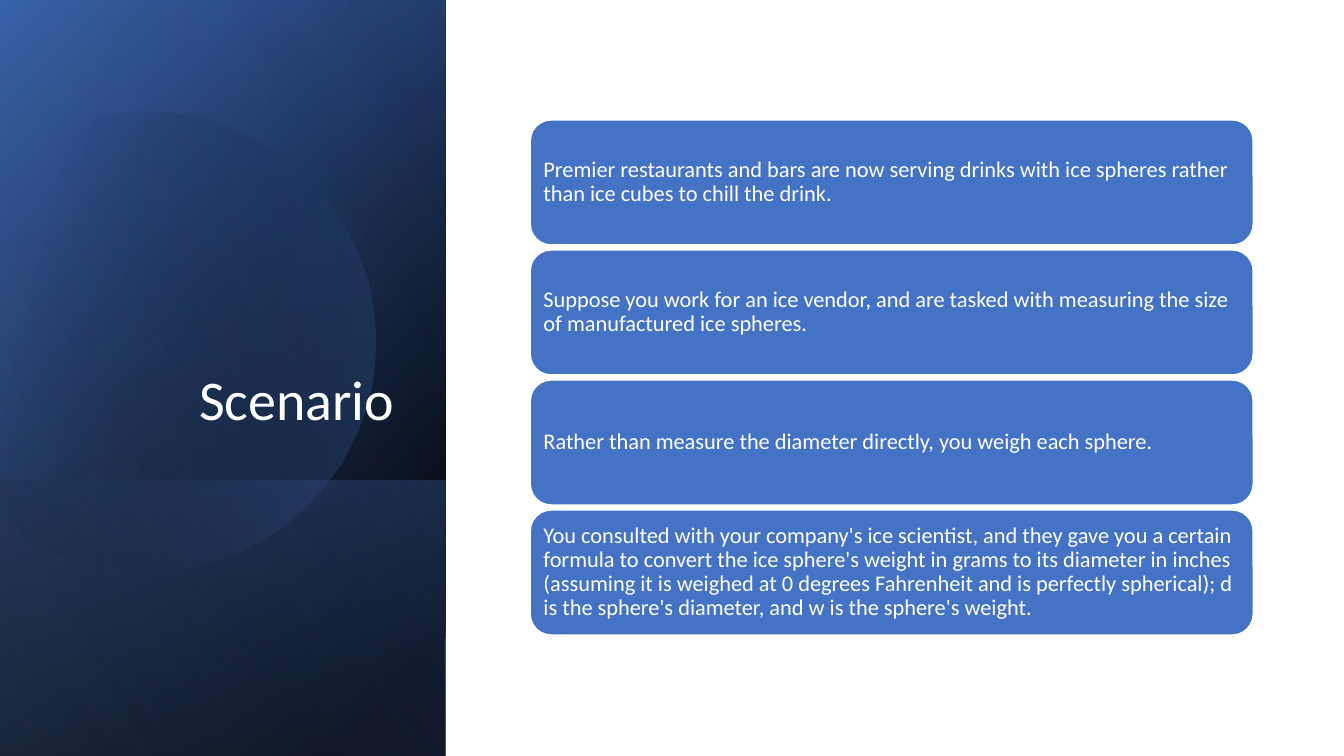
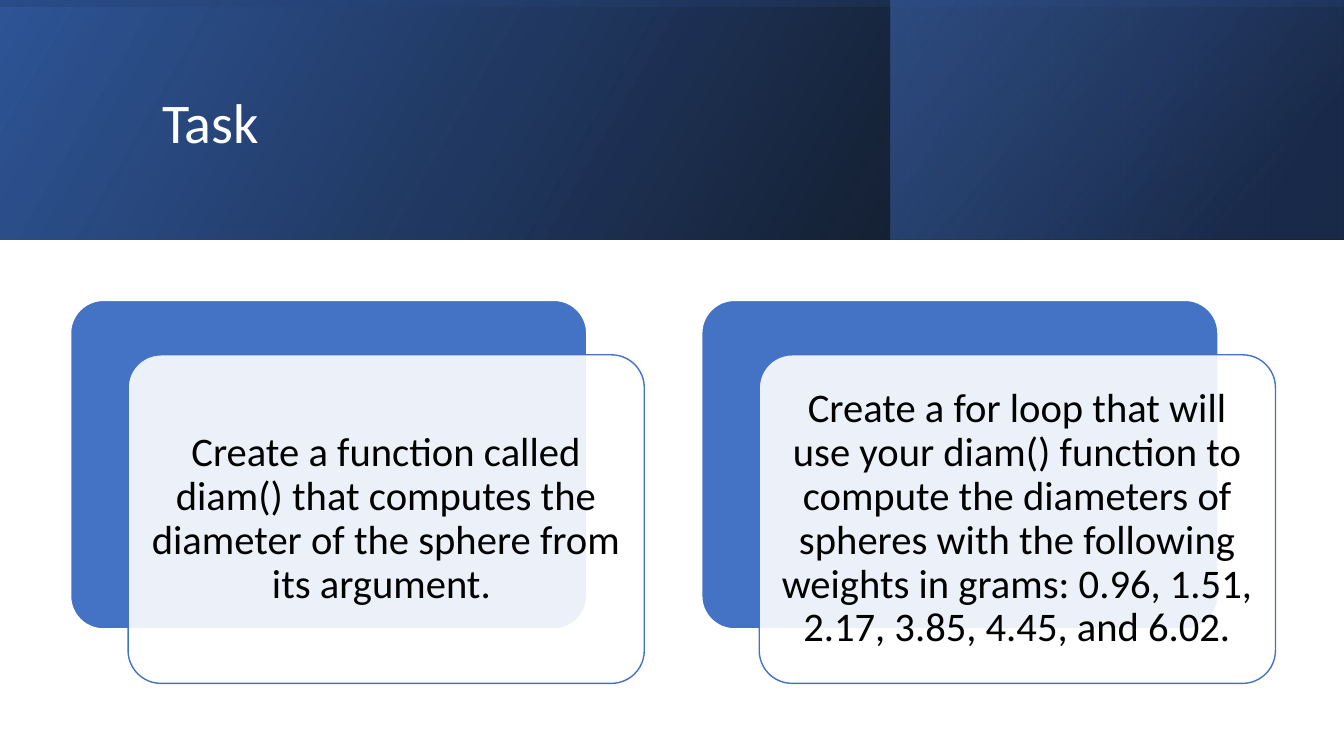
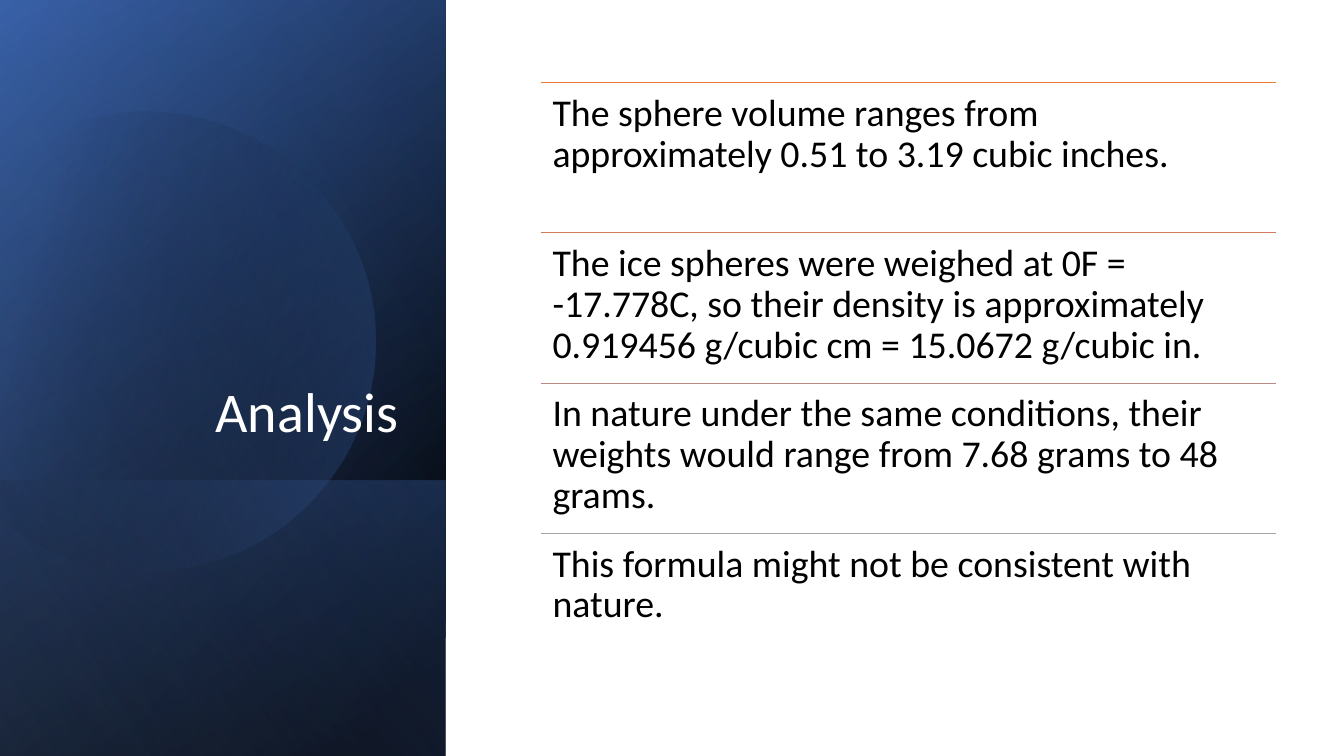
import math
from dataclasses import dataclass

import pptx
import pptx.dml.color
import pptx.enum.shapes
import pptx.enum.text
import pptx.oxml.ns
import pptx.util
from lxml import etree

Inches = pptx.util.Inches
Pt = pptx.util.Pt
RGB = pptx.dml.color.RGBColor.from_string
qn = pptx.oxml.ns.qn
SHAPE = pptx.enum.shapes.MSO_SHAPE
ANCHOR = pptx.enum.text.MSO_ANCHOR
ALIGN = pptx.enum.text.PP_ALIGN


@dataclass(frozen=True)
class Theme:
    font: str = "Calibri"
    white: str = "FFFFFF"
    black: str = "000000"
    blue: str = "4472C4"
    deep_blue: str = "2F5597"
    navy: str = "203864"
    pale_blue: str = "8FAADC"
    rules: tuple = ("ED7D31", "D17B5C", "B98A82", "A5A5A5")
    title_size: int = 40
    box_size: int = 16
    card_size: int = 29
    row_size: int = 27


T = Theme()


def write(sp, text, size, color, anchor, align=ALIGN.LEFT, inset=None):
    """Put one styled paragraph into a shape or text box."""
    tf = sp.text_frame
    tf.word_wrap = True
    tf.vertical_anchor = anchor
    if inset is not None:
        tf.margin_left = tf.margin_right = Inches(inset)
        tf.margin_top = tf.margin_bottom = Inches(inset)
    p = tf.paragraphs[0]
    p.text = text
    p.alignment = align
    p.line_spacing = 0.9
    p.font.name = T.font
    p.font.size = Pt(size)
    p.font.color.rgb = RGB(color)


def shade(sp, stops, angle, rotation=0, flip=True):
    """Gradient fill from two (position %, colour, opacity %) stops."""
    sp.shadow.inherit = False
    sp.line.fill.background()
    sp.rotation = rotation
    if flip:
        sp._element.spPr.xfrm.set("flipH", "1")
    sp.fill.gradient()
    sp.fill.gradient_angle = 360 - angle  # the setter counts anticlockwise
    for stop, (position, color, opacity) in zip(sp.fill.gradient_stops, stops):
        stop.position = position / 100
        stop.color.rgb = RGB(color)
    for clr, (_, _, opacity) in zip(sp._element.spPr.iter(qn("a:srgbClr")), stops):
        etree.SubElement(clr, qn("a:alpha")).set("val", str(opacity * 1000))


prs = pptx.Presentation()
prs.slide_width, prs.slide_height = Inches(13.33), Inches(7.5)
scenario, task, analysis = [prs.slides.add_slide(prs.slide_layouts[6]) for _ in range(3)]

# White ground of the scenario slide
sp = scenario.shapes.add_shape(SHAPE.RECTANGLE, 0, 0, prs.slide_width, prs.slide_height)
sp.shadow.inherit = False
sp.fill.solid()
sp.fill.fore_color.rgb = RGB(T.white)
sp.line.fill.background()

# Side panel: layered gradients around a cut disc (box None)
panel = (-1.54, 1.54, 7.5, 4.42)
panel_layers = [
    (panel, [(8, T.black, 100), (100, T.deep_blue, 100)], 50),
    (panel, [(0, T.black, 0), (99, T.blue, 46)], 30),
    ((0.84, 3.93, 2.74, 4.42), [(2, T.blue, 29), (100, T.black, 30)], 130),
    (None, [(29, T.black, 0), (100, T.blue, 43)], 30),
    (panel, [(0, T.black, 0), (99, T.pale_blue, 11)], 120),
]
disc_x, disc_y, disc_r = 1.44, 3.35, 2.28
arc_start, arc_end = -118, 150
disc = [(Inches(disc_x + disc_r * math.cos(math.radians(a))),
         Inches(disc_y + disc_r * math.sin(math.radians(a))))
        for a in (arc_start, -90, 0, 90, arc_end)]
for s in (scenario, analysis):
    for box, stops, angle in panel_layers:
        if box:
            sp = s.shapes.add_shape(SHAPE.RECTANGLE, *map(Inches, box))
            shade(sp, stops, angle, rotation=90)
        else:
            outline = s.shapes.build_freeform(*disc[0])
            outline.add_line_segments(disc[1:], close=True)
            sp = outline.convert_to_shape()
            # One arc takes the place of the straight segments
            path = next(sp._element.spPr.iter(qn("a:path")))
            for segment in path.findall(qn("a:lnTo")):
                path.remove(segment)
            arc = etree.Element(qn("a:arcTo"))
            for key, value in (("wR", Inches(disc_r)), ("hR", Inches(disc_r)),
                               ("stAng", (arc_start + 360) * 60000),
                               ("swAng", (arc_end - arc_start) * 60000)):
                arc.set(key, str(int(value)))
            path.insert(1, arc)
            shade(sp, stops, angle, rotation=343.9, flip=False)

# Top band of the task slide
band_layers = [
    ((0, 0, 13.33, 2.38), [(0, T.black, 96), (100, T.deep_blue, 100)], 330, 0),
    ((8.83, 0, 4.49, 2.38), [(19, T.navy, 68), (100, T.blue, 48)], 320, 0),
    ((5.48, -5.48, 2.37, 13.33), [(23, T.deep_blue, 16), (99, T.black, 45)], 350, 270),
]
for box, stops, angle, rotation in band_layers:
    sp = task.shapes.add_shape(SHAPE.RECTANGLE, *map(Inches, box))
    shade(sp, stops, angle, rotation)

# Titles
titles = [
    (scenario, "Scenario", (0.51, 0.64, 3.5, 3.7), ANCHOR.BOTTOM, ALIGN.RIGHT),
    (task, "Task", (1.51, 0.38, 10.63, 1.72), ANCHOR.MIDDLE, ALIGN.LEFT),
    (analysis, "Analysis", (0.64, 1.84, 3.41, 2.62), ANCHOR.BOTTOM, ALIGN.RIGHT),
]
for s, text, box, anchor, align in titles:
    sp = s.shapes.add_textbox(*map(Inches, box))
    write(sp, text, T.title_size, T.white, anchor, align)

# Scenario: stacked boxes
facts = [
    "Premier restaurants and bars are now serving drinks with ice spheres rather "
    "than ice cubes to chill the drink.",
    "Suppose you work for an ice vendor, and are tasked with measuring the size "
    "of manufactured ice spheres.",
    "Rather than measure the diameter directly, you weigh each sphere.",
    "You consulted with your company's ice scientist, and they gave you a certain "
    "formula to convert the ice sphere's weight in grams to its diameter in inches "
    "(assuming it is weighed at 0 degrees Fahrenheit and is perfectly spherical); d "
    "is the sphere's diameter, and w is the sphere's weight.",
]
for i, text in enumerate(facts):
    sp = scenario.shapes.add_shape(SHAPE.ROUNDED_RECTANGLE, Inches(5.26),
                                   Inches(1.19 + 1.29 * i), Inches(7.17), Inches(1.24))
    sp.shadow.inherit = False
    sp.fill.solid()
    sp.fill.fore_color.rgb = RGB(T.blue)
    sp.line.color.rgb = RGB(T.white)
    sp.line.width = Pt(1)
    write(sp, text, T.box_size, T.white, ANCHOR.MIDDLE, inset=0.07)

# Task: a translucent card over a blue one, twice
steps = [
    "Create a function called diam() that computes the diameter of the sphere from "
    "its argument. ",
    "Create a for loop that will use your diam() function to compute the diameters of "
    "spheres with the following weights in grams: 0.96, 1.51, 2.17, 3.85, 4.45, and 6.02.",
]
for i, text in enumerate(steps):
    for x, y, fill, line in ((0.7, 2.98, T.blue, T.white), (1.27, 3.52, T.white, T.blue)):
        sp = task.shapes.add_shape(SHAPE.ROUNDED_RECTANGLE, Inches(x + 6.26 * i),
                                   Inches(y), Inches(5.12), Inches(3.26))
        sp.adjustments[0] = 0.1
        sp.shadow.inherit = False
        sp.fill.solid()
        sp.fill.fore_color.rgb = RGB(fill)
        sp.line.color.rgb = RGB(line)
        sp.line.width = Pt(1)
    # The front card is the last one drawn
    clr = sp._element.spPr.find(qn("a:solidFill")).find(qn("a:srgbClr"))
    etree.SubElement(clr, qn("a:alpha")).set("val", "90000")
    write(sp, text, T.card_size, T.black, ANCHOR.MIDDLE, ALIGN.CENTER, inset=0.12)

# Analysis: ruled rows
findings = [
    "The sphere volume ranges from approximately 0.51 to 3.19 cubic inches.",
    "The ice spheres were weighed at 0F = -17.778C, so their density is approximately "
    "0.919456 g/cubic cm = 15.0672 g/cubic in.",
    "In nature under the same conditions, their weights would range from 7.68 grams "
    "to 48 grams.",
    "This formula might not be consistent with nature.",
]
left, width, row_h = Inches(5.37), Inches(7.29), Inches(1.49)
for i, (text, color) in enumerate(zip(findings, T.rules)):
    top = Inches(0.82) + row_h * i
    rule = analysis.shapes.add_connector(pptx.enum.shapes.MSO_CONNECTOR.STRAIGHT,
                                         left, top, left + width, top)
    rule.line.color.rgb = RGB(color)
    rule.line.width = Pt(0.5)
    etree.SubElement(rule._element.spPr, qn("a:effectLst"))
    sp = analysis.shapes.add_textbox(left, top, width, row_h)
    write(sp, text, T.row_size, T.black, ANCHOR.TOP, inset=0.11)

prs.save("out.pptx")
